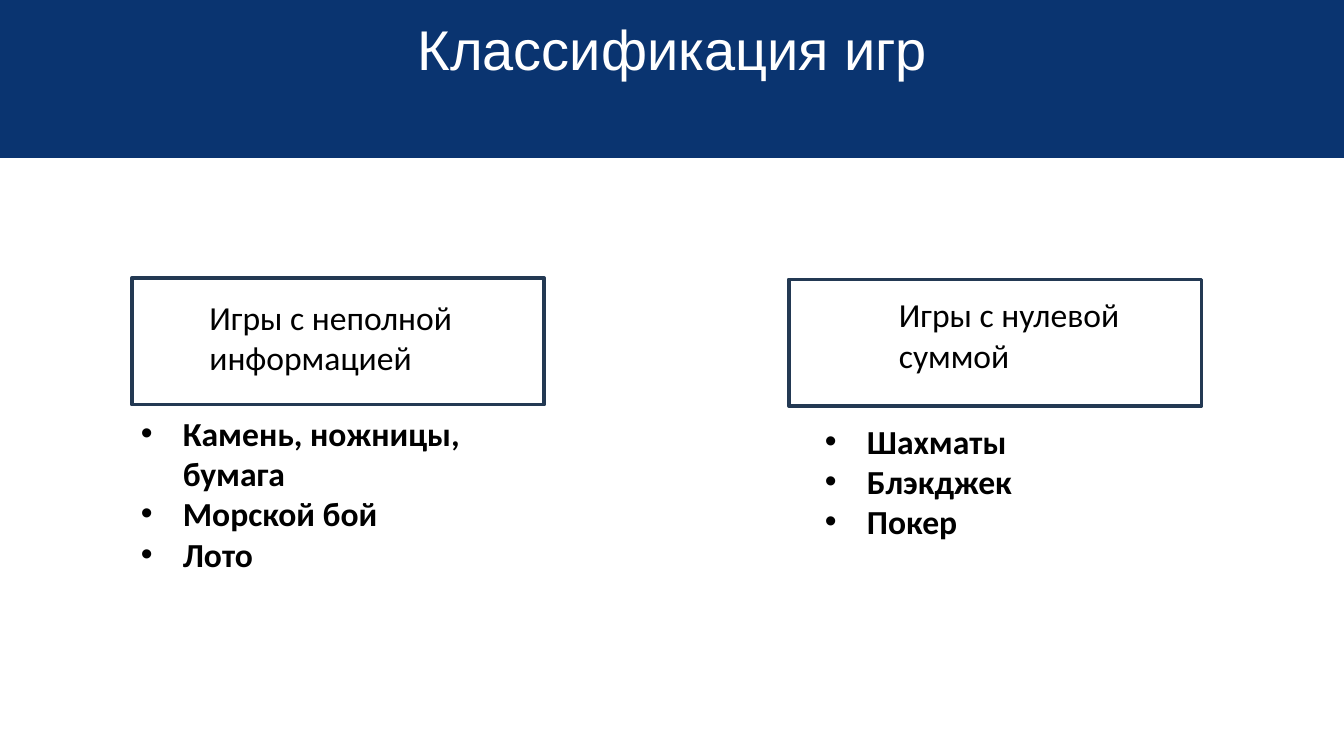
import dataclasses

import lxml.etree
import pptx
import pptx.dml.color
import pptx.enum.shapes
import pptx.enum.text
import pptx.oxml.ns
import pptx.shapes.autoshape
import pptx.slide
import pptx.text.text
import pptx.util

Inches = pptx.util.Inches
Pt = pptx.util.Pt

NAVY = "0A3470"
FRAME = "233953"
WHITE = "FFFFFF"
BLACK = "000000"
SLIDE_WIDTH = Inches(10)
SLIDE_HEIGHT = SLIDE_WIDTH * 9 // 16
BULLET_INDENT = Pt(22.5)


@dataclasses.dataclass
class Box:
    left: float
    top: float
    width: float
    height: float

    def lengths(self) -> list[pptx.util.Length]:
        return [Inches(value) for value in dataclasses.astuple(self)]


@dataclasses.dataclass
class GameClass:
    name: str
    games: list[str]
    frame: Box
    label: Box
    examples: Box


GAME_CLASSES = [
    GameClass(
        "Игры с неполной информацией",
        ["Камень, ножницы, бумага", "Морской бой", "Лото"],
        Box(0.98, 2.07, 3.07, 0.94),
        Box(1.46, 2.16, 2.44, 0.71),
        Box(0.95, 3.02, 3.07, 1.31),
    ),
    GameClass(
        "Игры с нулевой суммой",
        ["Шахматы", "Блэкджек", "Покер"],
        Box(5.87, 2.08, 3.07, 0.94),
        Box(6.59, 2.14, 2.44, 0.71),
        Box(6.04, 3.08, 3.07, 1.01),
    ),
]


def color(value: str) -> pptx.dml.color.RGBColor:
    return pptx.dml.color.RGBColor.from_string(value)


def add_rectangle(
    slide: pptx.slide.Slide, box: Box, fill: str, line: str
) -> pptx.shapes.autoshape.Shape:
    shape = slide.shapes.add_shape(
        pptx.enum.shapes.MSO_SHAPE.RECTANGLE, *box.lengths()
    )
    shape.shadow.inherit = False
    shape.fill.solid()
    shape.fill.fore_color.rgb = color(fill)
    shape.line.color.rgb = color(line)
    shape.line.width = Pt(2)
    return shape


def add_run(
    paragraph: pptx.text.text._Paragraph, text: str, size: float,
    font_name: str, font_color: str, bold: bool = False,
) -> None:
    run = paragraph.add_run()
    run.text = text
    run.font.size = Pt(size)
    run.font.name = font_name
    run.font.color.rgb = color(font_color)
    run.font.bold = bold


def add_bullet(paragraph: pptx.text.text._Paragraph) -> None:
    properties = paragraph._p.get_or_add_pPr()
    properties.set("marL", str(BULLET_INDENT))
    properties.set("indent", str(-BULLET_INDENT))
    qualified = pptx.oxml.ns.qn
    lxml.etree.SubElement(properties, qualified("a:buFont")).set("typeface", "Arial")
    lxml.etree.SubElement(properties, qualified("a:buChar")).set("char", "•")


def add_text(
    slide: pptx.slide.Slide, box: Box, lines: list[str], bulleted: bool = False
) -> None:
    text_frame = slide.shapes.add_textbox(*box.lengths()).text_frame
    text_frame.word_wrap = True
    text_frame.auto_size = pptx.enum.text.MSO_AUTO_SIZE.SHAPE_TO_FIT_TEXT
    for index, line in enumerate(lines):
        paragraph = text_frame.add_paragraph() if index else text_frame.paragraphs[0]
        if bulleted:
            add_bullet(paragraph)
        add_run(paragraph, line, 18, "Calibri", BLACK, bold=bulleted)


def format_title(slide: pptx.slide.Slide, box: Box, text: str) -> None:
    title = slide.shapes.title
    title.left, title.top, title.width, title.height = box.lengths()
    text_frame = title.text_frame
    text_frame.word_wrap = True
    text_frame.auto_size = pptx.enum.text.MSO_AUTO_SIZE.NONE
    text_frame.vertical_anchor = pptx.enum.text.MSO_ANCHOR.TOP
    paragraph = text_frame.paragraphs[0]
    paragraph.alignment = pptx.enum.text.PP_ALIGN.CENTER
    paragraph.line_spacing = Pt(30)
    paragraph.space_before = Pt(0)
    add_run(paragraph, text, 30, "Arial", WHITE)


def main() -> None:
    presentation = pptx.Presentation()
    presentation.slide_width = SLIDE_WIDTH
    presentation.slide_height = SLIDE_HEIGHT
    slide = presentation.slides.add_slide(presentation.slide_layouts[5])

    # Header band, placed behind the title
    band = add_rectangle(slide, Box(0, 0, 10, 1.16), NAVY, NAVY)
    slide.shapes.title.element.addprevious(band.element)
    format_title(slide, Box(0.28, 0.14, 9.45, 0.94), "Классификация игр")

    # Framed class names with their example games
    for game_class in GAME_CLASSES:
        add_rectangle(slide, game_class.frame, WHITE, FRAME)
        add_text(slide, game_class.label, [game_class.name])
        add_text(slide, game_class.examples, game_class.games, bulleted=True)

    presentation.save("out.pptx")


if __name__ == "__main__":
    main()
